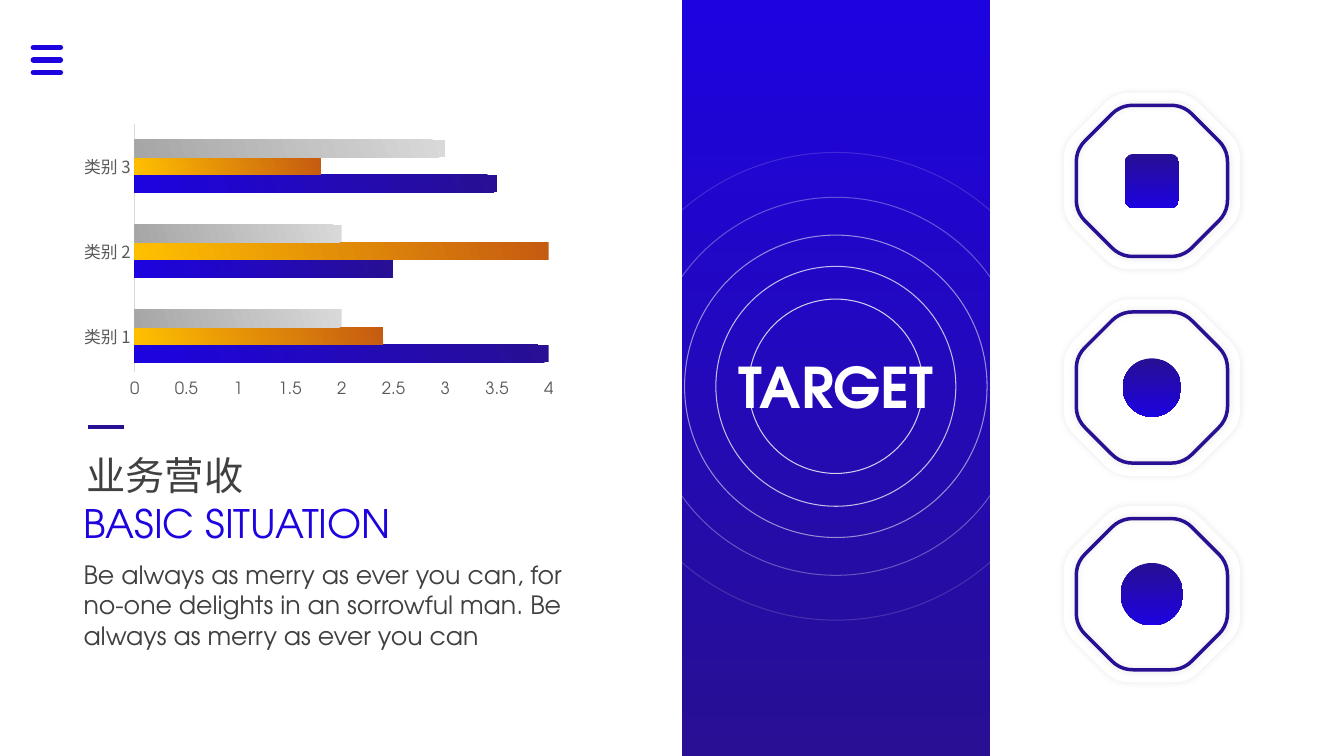
import math
from dataclasses import dataclass

from lxml import etree
from pptx import Presentation
from pptx import util as u
from pptx.chart.data import CategoryChartData
from pptx.dml.color import RGBColor
from pptx.enum import chart as ch, shapes, text
from pptx.oxml import parse_xml
from pptx.oxml.ns import nsdecls, qn


@dataclass(frozen=True)
class Theme:
    bright: str = "1D03E0"
    deep: str = "280F93"
    amber: str = "FFC000"
    rust: str = "C55A11"
    silver: str = "A6A6A6"
    pale: str = "D9D9D9"
    white: str = "FFFFFF"
    ink: str = "404040"
    label: str = "595959"
    font: str = "TeX Gyre Adventor"
    cjk: str = "Noto Sans CJK SC"
    target_pt: int = 40
    heading_pt: int = 28
    body_pt: int = 18
    axis_pt: int = 12


THEME = Theme()
WIDTH, HEIGHT = 13.33, 7.5


def rgb(value):
    return RGBColor.from_string(value)


def inches(*lengths):
    return [u.Inches(length) for length in lengths]


def gradient(fill, first, last, clockwise):
    fill.gradient()
    fill.gradient_angle = 360 - clockwise
    for stop, value in zip(fill.gradient_stops, (first, last)):
        stop.color.rgb = rgb(value)


def rule(slide, left, top, length, color, points, cap="flat"):
    line = slide.shapes.add_connector(
        shapes.MSO_CONNECTOR.STRAIGHT, *inches(left, top, left + length, top))
    line.line.color.rgb = rgb(color)
    line.line.width = u.Pt(points)
    line.line._get_or_add_ln().set("cap", cap)
    etree.SubElement(line._element.spPr, qn("a:effectLst"))


def style_text(shape, words, size, color, align=text.PP_ALIGN.LEFT):
    frame = shape.text_frame
    frame.text = words
    frame.word_wrap = True
    frame.vertical_anchor = text.MSO_ANCHOR.TOP
    frame.auto_size = text.MSO_AUTO_SIZE.NONE
    frame.paragraphs[0].alignment = align
    font = frame.paragraphs[0].runs[0].font
    font.name, font.size = THEME.font, u.Pt(size)
    font.color.rgb = rgb(color)
    return font


def menu(slide, left, top, width, height):
    for row in range(3):
        rule(slide, left, top + row * height / 2, width, THEME.bright, 3.75, "rnd")


def revenue_chart(slide, left, top, width, height):
    data = CategoryChartData()
    data.categories = ["类别 1", "类别 2", "类别 3"]
    data.add_series("Series 1", (4.3, 2.5, 3.5))
    data.add_series("Series 2", (2.4, 4.4, 1.8))
    data.add_series("Series 3", (2, 2, 3))
    chart = slide.shapes.add_chart(
        ch.XL_CHART_TYPE.BAR_CLUSTERED, *inches(left, top, width, height), data).chart
    chart.has_legend = chart.has_title = False
    chart.font.name, chart.font.size = THEME.font, u.Pt(THEME.axis_pt)

    # Bars
    plot = chart.plots[0]
    plot.gap_width, plot.overlap, plot.vary_by_categories = 182, 0, False
    colors = ((THEME.deep, THEME.bright), (THEME.rust, THEME.amber),
              (THEME.pale, THEME.silver))
    for series, (first, last) in zip(plot.series, colors):
        gradient(series.format.fill, first, last, 160)

    # Axes
    values, categories = chart.value_axis, chart.category_axis
    values.minimum_scale, values.maximum_scale, values.major_unit = 0, 4, 0.5
    values.tick_labels.number_format = "General"
    values.tick_labels.number_format_is_linked = False
    for axis, name, color, tick in (
            (values, THEME.font, THEME.white, ch.XL_TICK_MARK.INSIDE),
            (categories, THEME.cjk, THEME.pale, ch.XL_TICK_MARK.NONE)):
        axis.has_major_gridlines = False
        axis.major_tick_mark, axis.minor_tick_mark = tick, ch.XL_TICK_MARK.NONE
        axis.format.line.color.rgb = rgb(color)
        axis.format.line.width = u.Pt(0.75)
        font = axis.tick_labels.font
        font.name, font.size = name, u.Pt(THEME.axis_pt)
        font.color.rgb = rgb(THEME.label)

    # Plot area, as shares of the chart
    area = chart._chartSpace.chart.plotArea
    for old in area.findall(qn("c:layout")):
        area.remove(old)
    shares = "".join(f'<c:{key} val="{share}"/>' for key, share in
                     (("x", 0.13), ("y", 0.02), ("w", 0.84), ("h", 0.89)))
    area.insert(0, parse_xml(
        f'<c:layout {nsdecls("c")}><c:manualLayout><c:layoutTarget val="inner"/>'
        f'<c:xMode val="edge"/><c:yMode val="edge"/>{shares}'
        '</c:manualLayout></c:layout>'))


def summary(slide, left, top, width, height):
    rule(slide, left + 0.14, top, 0.36, THEME.deep, 3)
    # Heading
    title = slide.shapes.title
    title.left, title.top, title.width, title.height = inches(
        left + 0.03, top + 0.19, 0.36 * width, 0.57)
    style_text(title, "业务营收", THEME.heading_pt, THEME.ink)
    # Subheading
    subtitle = slide.shapes.add_textbox(*inches(left, top + 0.66, 0.66 * width, 0.57))
    font = style_text(subtitle, "BASIC SITUATION", THEME.heading_pt, THEME.bright)
    gradient(font.fill, THEME.bright, THEME.deep, 50)
    # Body
    body = slide.shapes.add_textbox(*inches(left, top + 1.26, width, height - 1.26))
    style_text(body, "Be always as merry as ever you can, for no-one delights in an "
               "sorrowful man.\u00a0Be always as merry as ever you can",
               THEME.body_pt, THEME.ink)


def target_band(slide, left, top, width, height):
    band = slide.shapes.add_shape(
        shapes.MSO_SHAPE.RECTANGLE, *inches(left, top, width, height))
    band.shadow.inherit = False
    band.line.fill.background()
    gradient(band.fill, THEME.bright, THEME.deep, 90)

    # Rings fade outwards
    center_x, center_y = left + width / 2, top + 0.511 * height
    for size, opacity in ((4.64, 15), (3.75, 29), (3, 53), (2.38, 73), (1.73, 80)):
        ring = slide.shapes.add_shape(shapes.MSO_SHAPE.OVAL, *inches(
            center_x - size / 2, center_y - size / 2, size, size))
        ring.shadow.inherit = False
        ring.fill.background()
        ring.line.color.rgb = rgb(THEME.white)
        ring.line.width = 0
        color = ring.line._get_or_add_ln().find(".//" + qn("a:srgbClr"))
        etree.SubElement(color, qn("a:alpha"), val=str(opacity * 1000))

    target = slide.shapes.add_textbox(
        *inches(center_x - 1.15, center_y - 0.38, 2.3, 0.77))
    style_text(target, "TARGET", THEME.target_pt, THEME.white,
               text.PP_ALIGN.CENTER).bold = True


def octagon(slide, center_x, center_y, size, opacity):
    """Regular octagon with rounded corners and a soft shadow."""
    radius = size / 2 / math.cos(math.pi / 8)
    corners = [(center_x + radius * math.cos(math.pi * (k + 0.5) / 4),
                center_y + radius * math.sin(math.pi * (k + 0.5) / 4))
               for k in range(8)]
    points = []
    for k, corner in enumerate(corners):
        before, after = corners[k - 1], corners[(k + 1) % 8]
        start, end = ([c + 0.2 * (n - c) for c, n in zip(corner, near)]
                      for near in (before, after))
        for t in (0, 0.2, 0.4, 0.6, 0.8, 1):
            points.append(inches(*((1 - t) ** 2 * s + 2 * t * (1 - t) * c + t * t * e
                                   for s, c, e in zip(start, corner, end))))
    builder = slide.shapes.build_freeform(*points[0])
    builder.add_line_segments(points[1:], close=True)
    outline = builder.convert_to_shape()
    outline.shadow.inherit = False
    outline._element.spPr.find(qn("a:effectLst")).append(parse_xml(
        f'<a:outerShdw {nsdecls("a")} blurRad="{u.Pt(5)}" dist="0" algn="ctr" '
        f'rotWithShape="0"><a:srgbClr val="000000"><a:alpha val="{opacity * 1000}"/>'
        '</a:srgbClr></a:outerShdw>'))
    return outline


def badges(slide, left, top, width, pitch):
    icons = ((shapes.MSO_SHAPE.ROUNDED_RECTANGLE, 0.54),
             (shapes.MSO_SHAPE.OVAL, 0.58), (shapes.MSO_SHAPE.OVAL, 0.62))
    center_x = left + width / 2
    for row, (kind, size) in enumerate(icons):
        center_y = top + width / 2 + row * pitch
        plate = octagon(slide, center_x, center_y, width, 7)
        plate.fill.solid()
        plate.fill.fore_color.rgb = rgb(THEME.white)
        plate.line.fill.background()

        frame = octagon(slide, center_x, center_y, width - 0.25, 11)
        frame.fill.background()
        frame.line.color.rgb = rgb(THEME.deep)
        frame.line.width = u.Pt(2.5)

        icon = slide.shapes.add_shape(kind, *inches(
            center_x - size / 2, center_y - size / 2, size, size))
        icon.shadow.inherit = False
        icon.line.fill.background()
        gradient(icon.fill, THEME.deep, THEME.bright, 90)


def main():
    deck = Presentation()
    deck.slide_width, deck.slide_height = inches(WIDTH, HEIGHT)
    slide = deck.slides.add_slide(deck.slide_layouts[5])
    menu(slide, 0.33, 0.47, 0.27, 0.25)
    target_band(slide, 6.76, 0, 3.06, HEIGHT)
    badges(slide, 10.55, 0.92, 1.75, 2.05)
    summary(slide, 0.73, 4.24, 5.35, 2.27)
    revenue_chart(slide, 0.7, 1.17, 4.89, 2.84)
    deck.save("out.pptx")


if __name__ == "__main__":
    main()
